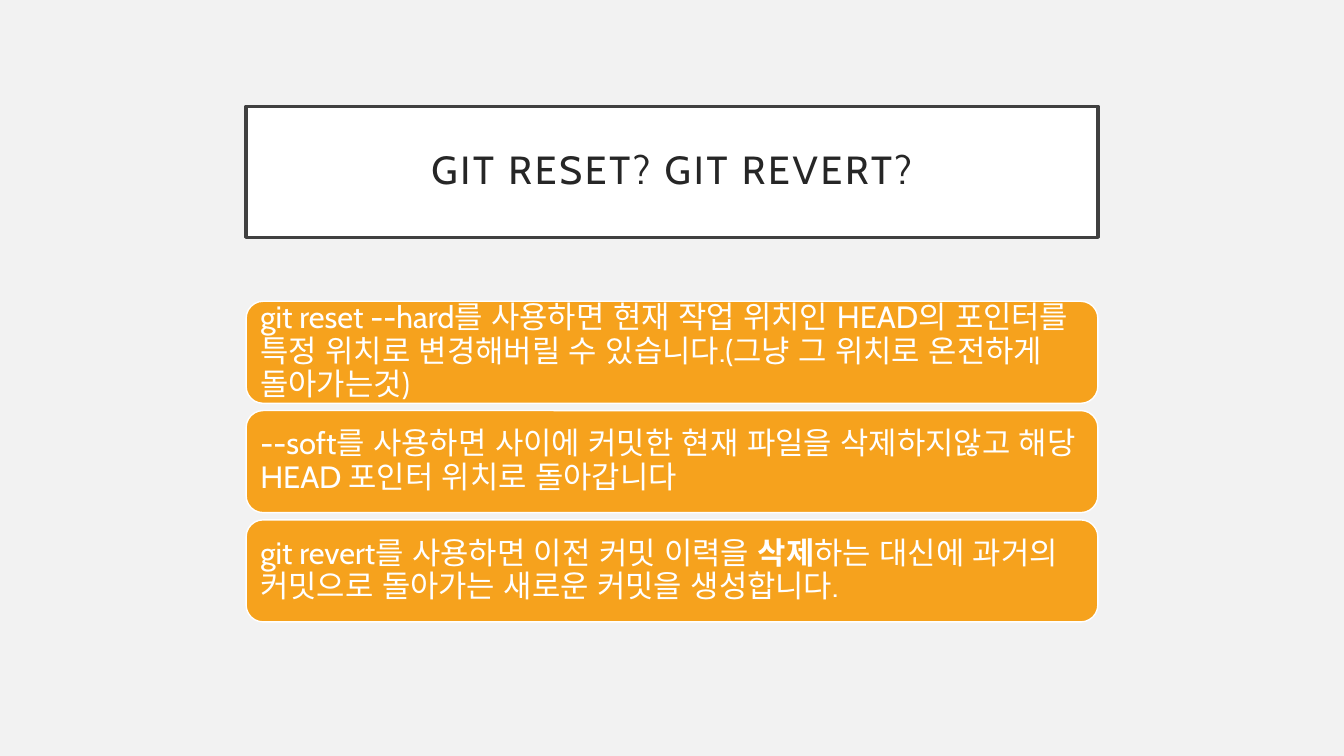
import pptx
import pptx.util
import pptx.dml.color
import pptx.enum.lang
import pptx.enum.shapes
import pptx.enum.text
from dataclasses import dataclass

Pt = pptx.util.Pt
Rgb = pptx.dml.color.RGBColor.from_string


@dataclass(frozen=True)
class Theme:
    back: str = "F2F2F2"
    white: str = "FFFFFF"
    frame: str = "404040"
    ink: str = "262626"
    card: str = "F6A21D"
    font: str = "Cabin"
    head: int = 28
    body: int = 22


THEME = Theme()
TITLE = "GIT RESET? GIT REVERT?"
# Each card is a list of (text, bold) parts.
CARDS = [
    [("git reset --hard를 사용하면 현재 작업 위치인 HEAD의 포인터를 특정 위치로 "
      "변경해버릴 수 있습니다.(그냥 그 위치로 온전하게 돌아가는것)", False)],
    [("--soft를 사용하면 사이에 커밋한 현재 파일을 삭제하지않고 해당 HEAD "
      "포인터 위치로 돌아갑니다", False)],
    [("git revert를 사용하면 이전 커밋 이력을 ", False), ("삭제", True),
     ("하는 대신에 과거의 커밋으로 돌아가는 새로운 커밋을 생성합니다.", False)],
]


def paint(shape, fill, line, width):
    shape.fill.solid()
    shape.fill.fore_color.rgb = Rgb(fill)
    shape.line.color.rgb = Rgb(line)
    shape.line.width = Pt(width)


def style(run, size, color, bold=False):
    font = run.font
    font.name, font.size, font.bold = THEME.font, Pt(size), bold
    font.color.rgb = Rgb(color)


def set_frame(shape, inset, align):
    """Fix the margins, anchor and line spacing; return the first paragraph."""
    frame = shape.text_frame
    frame.word_wrap = True
    frame.auto_size = pptx.enum.text.MSO_AUTO_SIZE.NONE
    frame.vertical_anchor = pptx.enum.text.MSO_ANCHOR.MIDDLE
    frame.margin_left = frame.margin_right = Pt(inset)
    frame.margin_top = frame.margin_bottom = Pt(inset)
    para = frame.paragraphs[0]
    para.alignment = align
    para.line_spacing = 0.9
    return para


def add_title(slide, left, top, width, height):
    title = slide.shapes.title
    title.left, title.top = Pt(left), Pt(top)
    title.width, title.height = Pt(width), Pt(height)
    paint(title, THEME.white, THEME.frame, 2.5)
    title.text_frame.text = TITLE
    para = set_frame(title, 14.4, pptx.enum.text.PP_ALIGN.CENTER)
    run = para.runs[0]
    style(run, THEME.head, THEME.ink)
    run.font._element.set("spc", "200")


def add_card(slide, parts, left, top, width, height):
    card = slide.shapes.add_shape(
        pptx.enum.shapes.MSO_SHAPE.ROUNDED_RECTANGLE,
        Pt(left), Pt(top), Pt(width), Pt(height))
    card.shadow.inherit = False
    paint(card, THEME.card, THEME.white, 1)
    para = set_frame(card, 6.6, pptx.enum.text.PP_ALIGN.LEFT)
    for text, bold in parts:
        run = para.add_run()
        run.text = text
        style(run, THEME.body, THEME.white, bold)
        run.font.language_id = pptx.enum.lang.MSO_LANGUAGE_ID.KOREAN


def add_cards(slide, left, top, width, height, gap=5.2):
    """Stack the cards evenly in the box."""
    tall = (height - gap * (len(CARDS) - 1)) / len(CARDS)
    for i, parts in enumerate(CARDS):
        add_card(slide, parts, left, top + i * (tall + gap), width, tall)


def main():
    deck = pptx.Presentation()
    deck.slide_width, deck.slide_height = Pt(960), Pt(540)
    slide = deck.slides.add_slide(deck.slide_layouts.get_by_name("Title Only"))
    slide.background.fill.solid()
    slide.background.fill.fore_color.rgb = Rgb(THEME.back)
    add_title(slide, 175.8, 75.9, 608.4, 93.6)
    add_cards(slide, 175.8, 215.2, 608.4, 229)
    deck.save("out.pptx")


if __name__ == "__main__":
    main()
